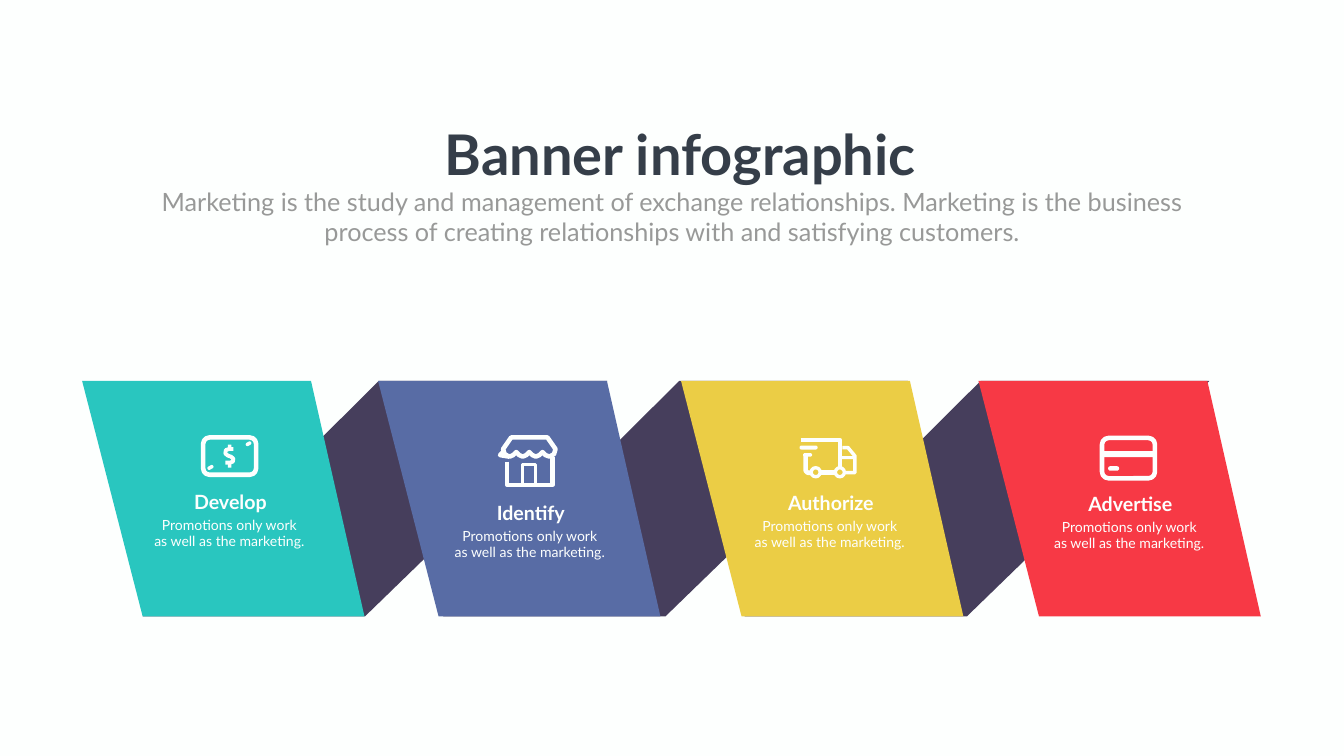
import pptx
import pptx.util
import pptx.dml.color
import pptx.enum.shapes
import pptx.enum.text

Inches = pptx.util.Inches
Pt = pptx.util.Pt
SHAPES = pptx.enum.shapes.MSO_SHAPE

COLORS = {
    "white": "FDFFFE",
    "fold": "463E5C",
    "teal": "29C6BF",
    "blue": "586CA5",
    "yellow": "EBCD45",
    "red": "F73945",
    "title": "353E49",
    "subtitle": "989998",
}
RGB = {name: pptx.dml.color.RGBColor.from_string(code) for name, code in COLORS.items()}

deck = pptx.Presentation()
deck.slide_width = Inches(26.66)
deck.slide_height = Inches(15)
page = deck.slides.add_slide(deck.slide_layouts[6])
page.background.fill.solid()
page.background.fill.fore_color.rgb = RGB["white"]


def paint(shape, fill=None, stroke=0):
    """Fill the shape with a named colour, or stroke it in white when a width is given."""
    shape.shadow.inherit = False
    if fill:
        shape.fill.solid()
        shape.fill.fore_color.rgb = RGB[fill]
    else:
        shape.fill.background()
    if stroke:
        shape.line.color.rgb = RGB["white"]
        shape.line.width = Pt(stroke)
    else:
        shape.line.fill.background()


def add_text(lines, left, top, width, height, size, color, bold=False, wrap=True):
    box = page.shapes.add_textbox(Inches(left), Inches(top), Inches(width), Inches(height))
    frame = box.text_frame
    frame.word_wrap = wrap
    frame.auto_size = pptx.enum.text.MSO_AUTO_SIZE.SHAPE_TO_FIT_TEXT
    for index, line in enumerate(lines):
        para = frame.paragraphs[0] if index == 0 else frame.add_paragraph()
        para.text = line
        para.alignment = pptx.enum.text.PP_ALIGN.CENTER
        para.font.name = "Lato"
        para.font.size = Pt(size)
        para.font.bold = bold
        para.font.color.rgb = RGB[color]


# Ribbon: dark folds behind, coloured panels in front
BAND_TOP, BAND_HEIGHT = 7.56, 4.67
fold_outline = [(0, BAND_HEIGHT), (4.68, 0), (9.22, 0), (4.41, BAND_HEIGHT)]
panel_outline = [(0, 0), (4.54, 0), (5.6, BAND_HEIGHT), (1.2, BAND_HEIGHT)]
ribbon = [(left, fold_outline, "fold") for left in (2.83, 8.79, 14.77)]
ribbon += [
    (1.63, panel_outline, "teal"),
    (7.5, panel_outline, "blue"),
    (13.51, panel_outline, "yellow"),
    (19.41, panel_outline, "red"),
]
for left, outline, color in ribbon:
    points = [(Inches(left + x), Inches(BAND_TOP + y)) for x, y in outline]
    builder = page.shapes.build_freeform(*points[0])
    builder.add_line_segments(points[1:], close=True)
    paint(builder.convert_to_shape(), fill=color)

# Icon frames: shape, left, top, width, height, corner, stroke
icon_frames = [
    (SHAPES.ROUNDED_RECTANGLE, 4.03, 8.68, 1.05, 0.74, 0.17, 6.5),   # banknote
    (SHAPES.ROUNDED_RECTANGLE, 21.86, 8.69, 1.05, 0.8, 0.16, 6.5),   # card
    (SHAPES.OVAL, 16.57, 9.28, 0.18, 0.18, None, 4.75),              # front wheel
    (SHAPES.OVAL, 16.09, 9.28, 0.18, 0.18, None, 4.75),              # rear wheel
]
for kind, left, top, width, height, corner, stroke in icon_frames:
    frame_shape = page.shapes.add_shape(
        kind, Inches(left), Inches(top), Inches(width), Inches(height))
    if corner is not None:
        frame_shape.adjustments[0] = corner
    paint(frame_shape, stroke=stroke)

# Solid icon bars: left, top, width, height, corner, rotation
icon_bars = [
    (4.52, 8.82, 0.07, 0.09, 0, 0),       # dollar sign ends
    (4.52, 9.19, 0.07, 0.09, 0, 0),
    (4.87, 8.77, 0.12, 0.07, 0.5, -30),   # banknote corner marks
    (4.11, 9.24, 0.13, 0.07, 0.5, -30),
    (21.88, 8.95, 1.03, 0.12, 0, 0),      # card stripe and number
    (21.98, 9.25, 0.22, 0.09, 0.5, 0),
    (16.66, 9.05, 0.3, 0.06, 0, 0),       # truck window and chassis
    (16.25, 9.33, 0.34, 0.09, 0, 0),
    (15.86, 8.84, 0.36, 0.08, 0.5, 0),    # truck speed lines
    (15.93, 8.99, 0.18, 0.07, 0.5, 0),
]
for left, top, width, height, corner, rotation in icon_bars:
    bar = page.shapes.add_shape(
        SHAPES.ROUNDED_RECTANGLE, Inches(left), Inches(top), Inches(width), Inches(height))
    bar.adjustments[0] = corner
    bar.rotation = rotation
    paint(bar, fill="white")

# Stroked icon lines: stroke, closed, points
dollar = [(4.47, 9.18), (4.56, 9.18), (4.62, 9.16), (4.63, 9.1), (4.58, 9.06),
          (4.52, 9.04), (4.47, 9), (4.48, 8.93), (4.54, 8.91), (4.63, 8.91)]
door = [(10.36, 9.63), (10.36, 9.22), (10.62, 9.22), (10.62, 9.63)]
walls = [(10.06, 9.16), (10.06, 9.62), (10.96, 9.62), (10.96, 9.06)]
awning = [(9.98, 8.91), (10.14, 8.68), (10.86, 8.68), (11.02, 8.91), (10.99, 9.01), (10.9, 9.06)]
for scallop in range(4):
    right = 10.76 - 0.26 * scallop
    awning += [(right + 0.06, 9.03), (right, 8.97), (right - 0.06, 9.03), (right - 0.13, 9.06)]
awning[-1] = (10.1, 9.06)
awning.append((10.01, 9.01))
cab = [(16.71, 8.88), (16.82, 8.88), (16.96, 9.05), (16.96, 9.38), (16.76, 9.38)]
cargo_top = [(15.88, 8.73), (16.66, 8.73), (16.66, 9.3)]
cargo_back = [(15.98, 9.02), (15.98, 9.34), (16.02, 9.38), (16.1, 9.38)]
icon_lines = [
    (5.5, False, dollar),
    (4.75, True, door),
    (6.5, False, walls),
    (6.5, True, awning),
    (5, False, cab),
    (6, False, cargo_top),
    (6.5, False, cargo_back),
]
for stroke, closed, outline in icon_lines:
    points = [(Inches(x), Inches(y)) for x, y in outline]
    builder = page.shapes.build_freeform(*points[0])
    builder.add_line_segments(points[1:], close=closed)
    paint(builder.convert_to_shape(), stroke=stroke)

# Heading
add_text(["Marketing is the study and management of exchange relationships. "
          "Marketing is the business process of creating relationships with "
          "and satisfying customers."],
         2.92, 3.64, 20.82, 1.31, 36, "subtitle")
add_text(["Banner infographic"], 8.61, 2.32, 9.77, 1.45, 80, "title", bold=True, wrap=False)

# Panel captions
captions = [
    ("Develop", 3.54, 9.67),
    ("Identify", 9.5, 9.89),
    ("Authorize", 15.45, 9.69),
    ("Advertise", 21.39, 9.71),
]
for name, left, top in captions:
    add_text([name], left, top, 2.06, 0.57, 28, "white", bold=True)
    add_text(["Promotions only work", "as well as the marketing."],
             left - 0.59, top + 0.52, 3.2, 0.77, 20, "white")

deck.save("out.pptx")
